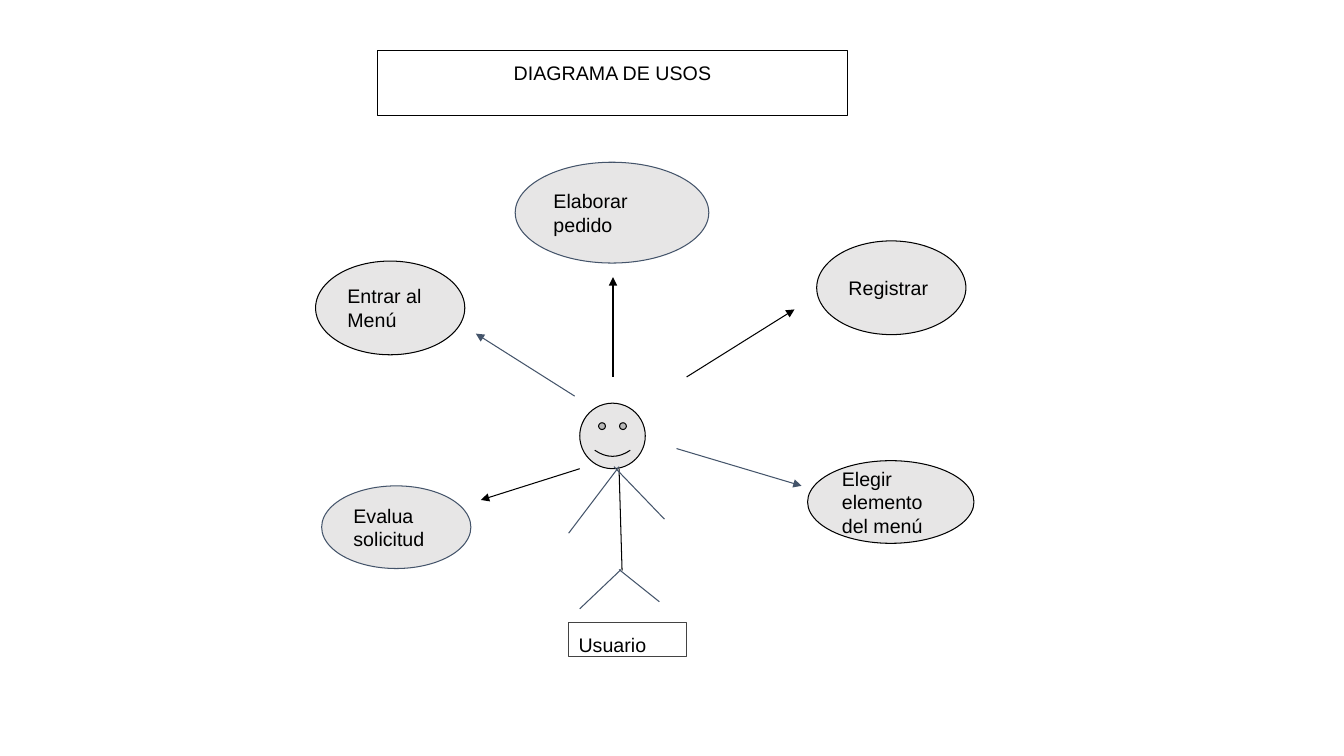
import pptx
import pptx.util
import pptx.dml.color
import pptx.enum.shapes
import pptx.enum.text
import pptx.oxml
import pptx.oxml.ns

COLORS = {
    "black": "000000",
    "slate": "44546A",
    "charcoal": "434343",
    "gray": "E7E6E6",
    "white": "FFFFFF",
}
LINE_WIDTH = pptx.util.Pt(0.75)
SHAPES = pptx.enum.shapes.MSO_SHAPE
ALIGN = pptx.enum.text.PP_ALIGN
ANCHOR = pptx.enum.text.MSO_ANCHOR

presentation = pptx.Presentation()
presentation.slide_width = pptx.util.Inches(13.33)
presentation.slide_height = pptx.util.Inches(7.5)
column = presentation.slide_width / 13.33
row = presentation.slide_height / 7.5
slide = presentation.slides.add_slide(presentation.slide_layouts[5])


def format_shape(shape, fill, line, text="", align=ALIGN.LEFT, anchor=ANCHOR.MIDDLE):
    if fill:
        shape.fill.solid()
        shape.fill.fore_color.rgb = pptx.dml.color.RGBColor.from_string(COLORS[fill])
    shape.line.color.rgb = pptx.dml.color.RGBColor.from_string(COLORS[line])
    shape.line.width = LINE_WIDTH
    if not text:
        return
    frame = shape.text_frame
    frame.text = text
    frame.word_wrap = True
    frame.auto_size = pptx.enum.text.MSO_AUTO_SIZE.NONE
    frame.vertical_anchor = anchor
    frame.margin_left = frame.margin_right = int(0.1 * column)
    frame.margin_top = frame.margin_bottom = int(0.1 * row)
    paragraph = frame.paragraphs[0]
    paragraph.alignment = align
    paragraph.font.name = "Arial"
    paragraph.font.size = pptx.util.Pt(14)
    paragraph.font.color.rgb = pptx.dml.color.RGBColor.from_string(COLORS["black"])


def place(left, top, width, height):
    return int(left * column), int(top * row), int(width * column), int(height * row)


title = slide.shapes.title
title.left, title.top, title.width, title.height = place(3.74, 0.5, 4.67, 0.65)
format_shape(title, None, "black", "DIAGRAMA DE USOS", ALIGN.CENTER, ANCHOR.TOP)

head = slide.shapes.add_shape(SHAPES.SMILEY_FACE, *place(5.75, 4, 0.65, 0.65))
head.adjustments[0] = 0.047
head.shadow.inherit = False
format_shape(head, "gray", "black")

body_lines = [
    (6.14, 4.65, 6.17, 5.66, "black", False),
    (6.14, 4.63, 5.64, 5.29, "slate", False),
    (6.09, 4.63, 6.59, 5.15, "slate", False),
    (6.16, 5.65, 5.75, 6.04, "slate", False),
    (6.14, 5.65, 6.54, 5.97, "slate", False),
]
use_arrows = [
    (6.81, 3.74, 7.88, 3.07, "black", True),
    (5.7, 3.93, 4.72, 3.31, "slate", True),
    (6.71, 4.45, 7.95, 4.82, "slate", True),
    (5.75, 4.65, 4.77, 4.96, "black", True),
    (6.08, 3.74, 6.08, 2.75, "black", True),
]
for start_x, start_y, end_x, end_y, color, has_arrow in body_lines + use_arrows:
    connector = slide.shapes.add_connector(
        pptx.enum.shapes.MSO_CONNECTOR.STRAIGHT, *place(start_x, start_y, end_x, end_y)
    )
    connector.line.color.rgb = pptx.dml.color.RGBColor.from_string(COLORS[color])
    connector.line.width = LINE_WIDTH
    if has_arrow:
        arrowhead = pptx.oxml.parse_xml(
            f'<a:tailEnd {pptx.oxml.ns.nsdecls("a")} type="triangle"/>'
        )
        connector.line._get_or_add_ln().append(arrowhead)
    connector._element.spPr.append(
        pptx.oxml.parse_xml(f'<a:effectLst {pptx.oxml.ns.nsdecls("a")}/>')
    )

user_label = slide.shapes.add_shape(SHAPES.RECTANGLE, *place(5.64, 6.18, 1.17, 0.33))
user_label.shadow.inherit = False
format_shape(user_label, "white", "charcoal", "Usuario", anchor=ANCHOR.TOP)

use_cases = [
    ("Registrar", 8.1, 2.39, 1.48, 0.93, "black"),
    ("Entrar al Menú", 3.13, 2.59, 1.48, 0.93, "black"),
    ("Elegir elemento del menú", 8.01, 4.57, 1.65, 0.82, "black"),
    ("Evalua solicitud", 3.19, 4.82, 1.48, 0.82, "slate"),
    ("Elaborar pedido", 5.11, 1.61, 1.92, 1, "slate"),
]
for text, left, top, width, height, line in use_cases:
    use_case = slide.shapes.add_shape(SHAPES.OVAL, *place(left, top, width, height))
    use_case.shadow.inherit = False
    format_shape(use_case, "gray", line, text)

presentation.save("out.pptx")
